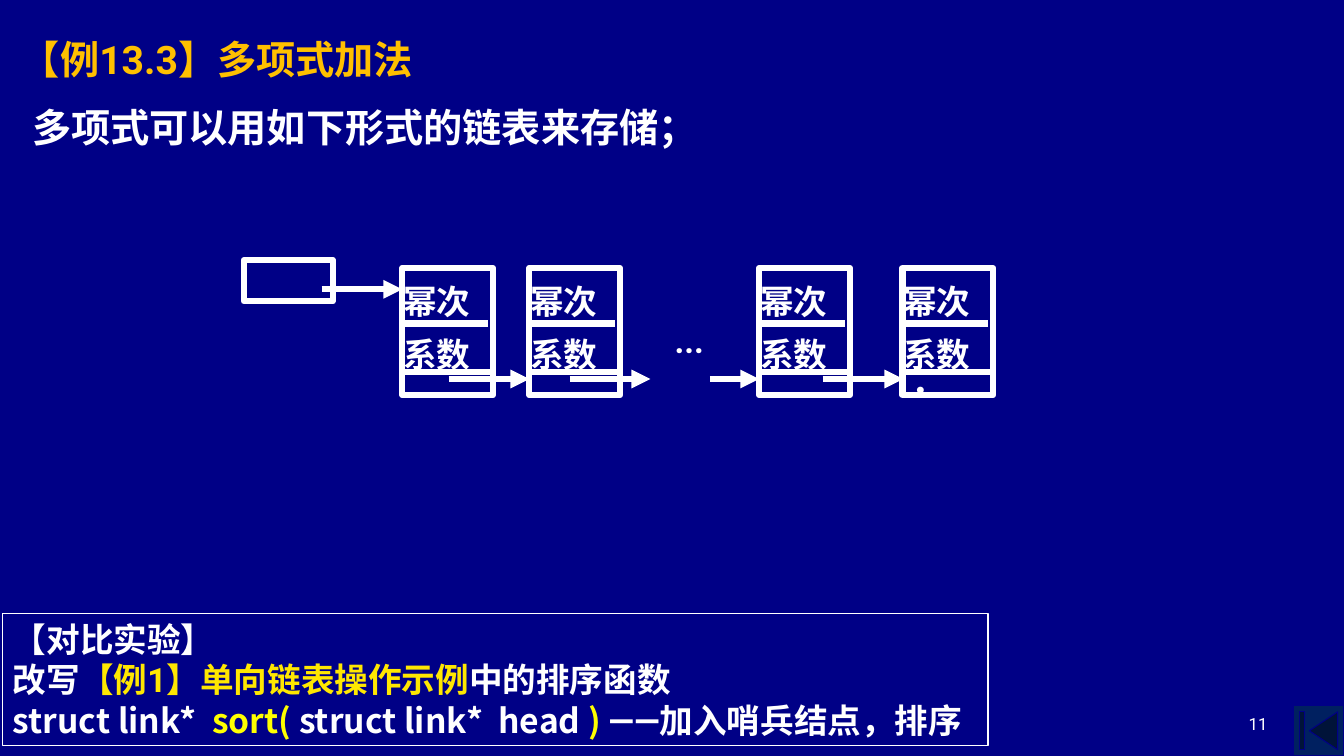
from dataclasses import dataclass

from lxml.etree import SubElement as Sub
from pptx import Presentation
from pptx.dml.color import RGBColor
from pptx.enum.shapes import MSO_CONNECTOR as Link, MSO_SHAPE as Kind
from pptx.enum.text import MSO_ANCHOR as Anchor, PP_ALIGN as Align
from pptx.oxml.ns import qn
from pptx.util import Inches, Pt


@dataclass(frozen=True)
class Theme:
    """Colours, type sizes and line widths of the slide."""
    back: str = "000086"
    white: str = "FFFFFF"
    gold: str = "FFC000"
    warm: str = "FFE701"
    lemon: str = "FFFF00"
    navy: str = "002060"
    font: str = "Roboto"
    cjk: str = "Noto Sans CJK SC"
    head: int = 28
    text: int = 24
    note: int = 12
    thick: float = 4.5
    thin: float = 0.75


T = Theme()


def tint(code):
    """Turn a hex code into a colour."""
    return RGBColor.from_string(code)


def style(run, size, code=T.white, bold=True, font=T.font):
    """Format one run, with its East Asian font."""
    run.font.size, run.font.bold, run.font.name = Pt(size), bold, font
    run.font.color.rgb = tint(code)
    Sub(run.font._element, qn("a:ea")).set("typeface", T.cjk)


def setup(frame, pad=None, anchor=Anchor.TOP):
    """Set wrapping, anchor and, if given, equal insets."""
    frame.word_wrap, frame.vertical_anchor = True, anchor
    if pad is not None:
        frame.margin_left = frame.margin_right = Inches(pad)
        frame.margin_top = frame.margin_bottom = Inches(pad)


def fill(frame, rows, size, code=T.white, bold=True, align=Align.LEFT, space=None):
    """Write one paragraph per row of text."""
    frame.text = "\n".join(rows)
    for para in frame.paragraphs:
        para.alignment, para.line_spacing = align, space
        for run in para.runs:
            style(run, size, code, bold)


def label(slide, box, text, size, code=T.white, bold=True, align=Align.LEFT,
          anchor=Anchor.TOP, pad=None, space=None):
    """Add a text box with one line of text."""
    frame = slide.shapes.add_textbox(*map(Inches, box)).text_frame
    setup(frame, pad, anchor)
    fill(frame, [text], size, code, bold, align, space)


def frame_box(slide, box, width=T.thick):
    """Add a hollow white rectangle."""
    rect = slide.shapes.add_shape(Kind.RECTANGLE, *map(Inches, box))
    rect.shadow.inherit = False
    rect.fill.background()
    rect.line.color.rgb, rect.line.width = tint(T.white), Pt(width)
    return rect


def line(slide, x, y, wide, arrow=False):
    """Add a level line, with an arrowhead if asked."""
    link = slide.shapes.add_connector(
        Link.STRAIGHT, Inches(x), Inches(y), Inches(x + wide), Inches(y))
    link.line.color.rgb, link.line.width = tint(T.white), Pt(T.thick)
    if arrow:
        Sub(link.line._get_or_add_ln(), qn("a:tailEnd")).set("type", "triangle")
    Sub(link._element.spPr, qn("a:effectLst"))


def node(slide, x, y):
    """Draw a list node with its two fields and a pointer cell."""
    frame = frame_box(slide, (x, y, 0.9, 1.26)).text_frame
    setup(frame, 0.01)
    fill(frame, ["幂次", "系数"], T.text, space=1.3)
    line(slide, x, y + 0.55, 0.85)
    line(slide, x, y + 1.03, 0.88)


def chain(slide, x, y):
    """Draw the linked list from its head pointer to its last node."""
    frame_box(slide, (x, y, 0.88, 0.41))
    for step in (1.57, 2.83, 5.11, 6.53):
        node(slide, x + step, y + 0.08)
    line(slide, x + 0.77, y + 0.29, 0.8, True)
    for step, wide in ((2.03, 0.8), (3.23, 0.8), (4.62, 0.49), (5.74, 0.8)):
        line(slide, x + step, y + 1.18, wide, True)
    label(slide, (x + 4.26, y + 0.46, 0.55, 0.52), "...", T.text,
          align=Align.JUSTIFY, pad=0.01, space=1.3)
    label(slide, (x + 6.61, y + 0.87, 0.88, 0.24), "．", T.text, pad=0.01, space=1.3)


def task(slide, box):
    """Write the framed exercise with its coloured parts."""
    frame = frame_box(slide, box, T.thin).text_frame
    setup(frame)
    rows = (
        [("【对比实验】", T.white, T.font)],
        [("改写", T.white, T.font), ("【例1】单向链表操作示例", T.warm, T.font),
         ("中的排序函数", T.white, T.font)],
        [("struct link*  ", T.white, T.cjk), ("sort(", T.lemon, T.cjk),
         (" struct link*  head ", T.white, T.cjk), (") ", T.lemon, T.cjk),
         ("——加入哨兵结点，排序", T.white, T.font)],
    )
    for i, row in enumerate(rows):
        para = frame.add_paragraph() if i else frame.paragraphs[0]
        para.alignment = Align.LEFT
        for text, code, font in row:
            run = para.add_run()
            run.text = text
            style(run, T.text, code, font=font)


def button(slide, box):
    """Add the back-to-start button."""
    shape = slide.shapes.add_shape(Kind.ACTION_BUTTON_BEGINNING, *map(Inches, box))
    shape.shadow.inherit = False
    shape.fill.solid()
    shape.fill.fore_color.rgb = tint(T.navy)
    shape.line.color.rgb, shape.line.width = tint(T.back), Pt(T.thin)


def main():
    """Build the slide and save it."""
    deck = Presentation()
    deck.slide_width, deck.slide_height = Inches(13.33), Inches(7.5)
    slide = deck.slides.add_slide(deck.slide_layouts[6])
    slide.background.fill.solid()
    slide.background.fill.fore_color.rgb = tint(T.back)
    button(slide, (12.83, 7, 0.5, 0.5))
    label(slide, (0.11, 0.24, 9, 0.69), "【例13.3】多项式加法", T.head, T.gold,
          anchor=Anchor.MIDDLE)
    label(slide, (0.22, 0.98, 9.5, 0.71), "多项式可以用如下形式的链表来存储；", T.head)
    chain(slide, 2.42, 2.58)
    label(slide, (9.56, 6.83, 3.11, 0.5), "11", T.note, bold=False,
          align=Align.RIGHT, anchor=Anchor.BOTTOM)
    task(slide, (0.03, 6.09, 9.77, 1.31))
    deck.save("out.pptx")


if __name__ == "__main__":
    main()
